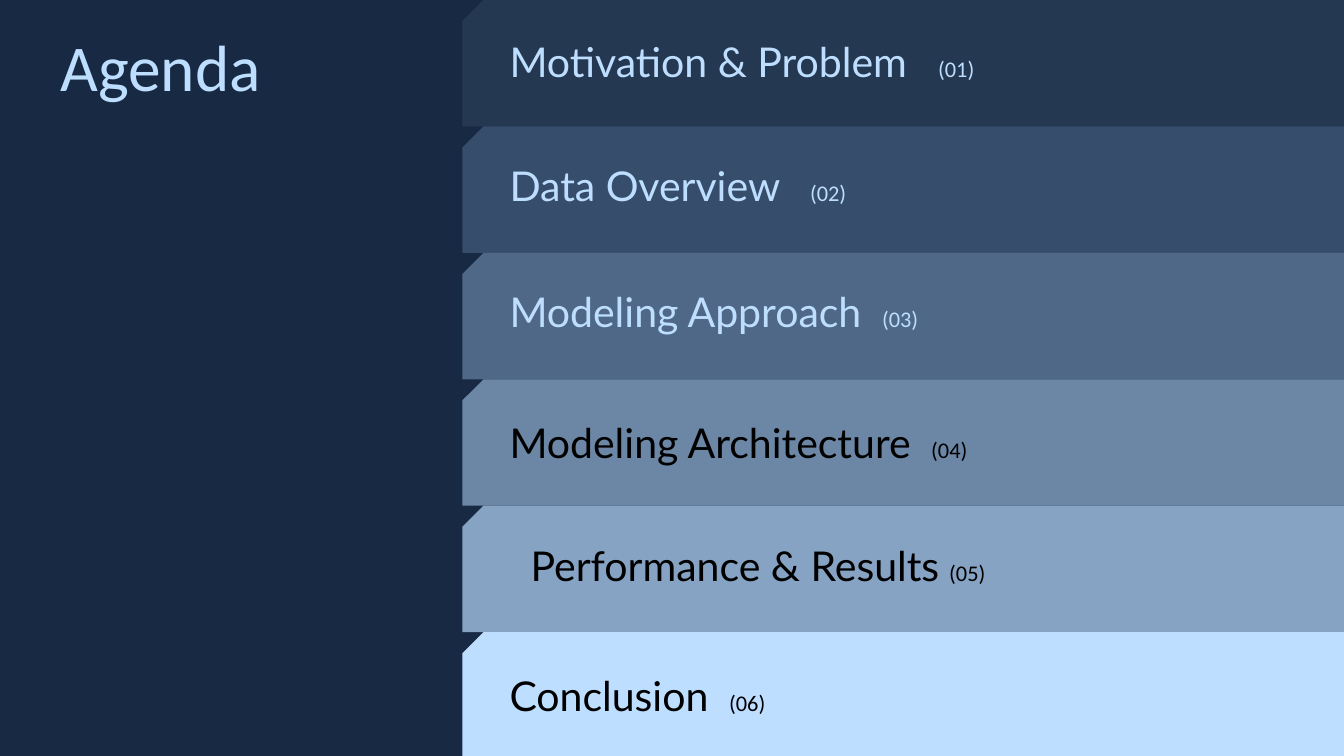
from lxml.etree import SubElement
from pptx import Presentation
from pptx.dml.color import RGBColor
from pptx.enum.shapes import MSO_SHAPE as Shape
from pptx.enum.text import MSO_ANCHOR as Anchor
from pptx.oxml.ns import qn
from pptx.util import Cm, Pt

COLORS = {
    "navy": "182A43",
    "ice": "BEDEFF",
    "black": "000000",
    "band1": "253851",
    "band2": "364D6C",
    "band3": "4F6887",
    "band4": "6C87A6",
    "band5": "86A3C3",
}
BAND_LEFT, BAND_W, BAND_H = 8.74, 16.66, 2.39
ENTRY_LEFT, ENTRY_W, ENTRY_H = 9.63, 15.72, 1.27

# title, band colour, text colour, text top, left inset, number position
AGENDA = [
    ("Motivation & Problem", "band1", "ice", 0.61, 0, 8.1),
    ("Data Overview", "band2", "ice", 2.95, 0, 5.68),
    ("Modeling Approach", "band3", "ice", 5.33, 0, 7.04),
    ("Modeling Architecture", "band4", "black", 7.8, 0, 7.97),
    ("Performance & Results", "band5", "black", 10.13, 0.4, 7.91),
    ("Conclusion", "ice", "black", 12.6, 0, 4.15),
]


class AgendaSlide:
    def __init__(self, prs):
        self.slide = prs.slides.add_slide(prs.slide_layouts[6])
        fill = self.slide.background.fill
        fill.solid()
        fill.fore_color.rgb = self.color("navy")

    @staticmethod
    def color(name):
        return RGBColor.from_string(COLORS[name])

    def band(self, top, color):
        """Add a full-width band with its top left corner cut off."""
        sp = self.slide.shapes.add_shape(
            Shape.SNIP_1_RECTANGLE, Cm(BAND_LEFT), Cm(top), Cm(BAND_W), Cm(BAND_H))
        sp.adjustments[0] = 0.167
        sp.element.spPr.xfrm.set("flipH", "1")
        sp.shadow.inherit = False
        sp.fill.solid()
        sp.fill.fore_color.rgb = self.color(color)
        sp.line.fill.background()

    def text(self, left, top, width, height, runs, color, anchor=Anchor.TOP, inset=0):
        """Add one paragraph made of (text, size, font) runs and return it."""
        tf = self.slide.shapes.add_textbox(
            Cm(left), Cm(top), Cm(width), Cm(height)).text_frame
        tf.word_wrap = True
        tf.vertical_anchor = anchor
        tf.margin_left, tf.margin_right = Cm(inset), Cm(0.25)
        tf.margin_top = tf.margin_bottom = 0
        p = tf.paragraphs[0]
        p.line_spacing = 0.8
        for text, size, font in runs:
            r = p.add_run()
            r.text = text
            r.font.size = Pt(size)
            r.font.name = font
            r.font.color.rgb = self.color(color)
        return p

    def entry(self, number, title, color, top, inset, number_pos):
        """Add an agenda title with its number at a tab stop."""
        runs = [(f"{title}\t", 22, "Lato"), (f"({number:02})", 12, "Calibri")]
        p = self.text(ENTRY_LEFT, top, ENTRY_W, ENTRY_H, runs, color,
                      Anchor.MIDDLE, inset)
        tabs = SubElement(p._p.get_or_add_pPr(), qn("a:tabLst"))
        SubElement(tabs, qn("a:tab"), pos=str(Cm(number_pos)), algn="l")


def main():
    prs = Presentation()
    prs.slide_width, prs.slide_height = Cm(25.4), Cm(14.29)
    s = AgendaSlide(prs)
    s.text(1.14, 0.79, 6, 1.27, [("Agenda", 35, "Calibri")], "ice")
    for i, (title, band, color, top, inset, number_pos) in enumerate(AGENDA):
        s.band(i * BAND_H, band)
        s.entry(i + 1, title, color, top, inset, number_pos)
    prs.save("out.pptx")


if __name__ == "__main__":
    main()
